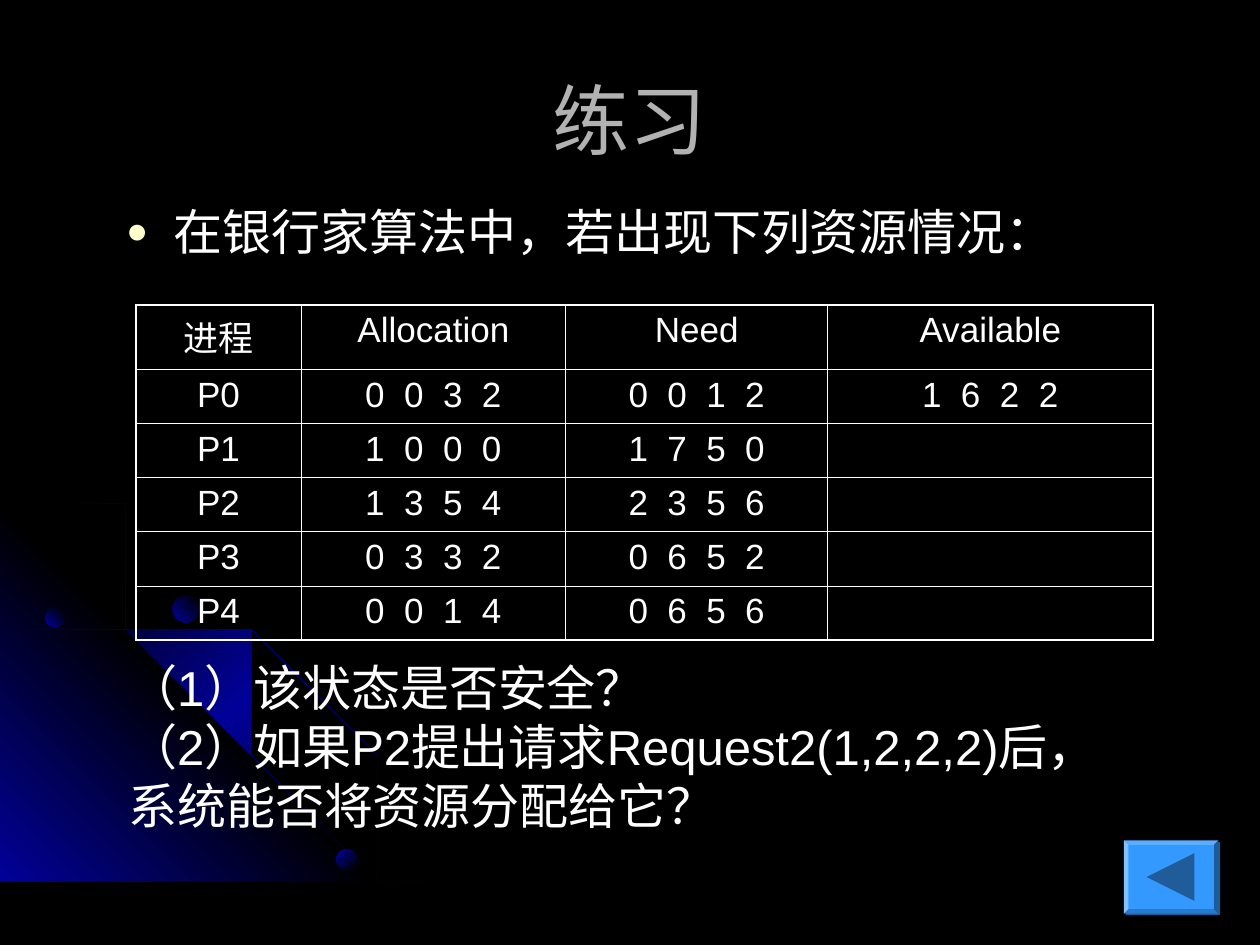
from lxml.etree import SubElement, fromstring
from pptx import Presentation
from pptx.dml.color import RGBColor
from pptx.enum.shapes import MSO_SHAPE as Shape
from pptx.enum.text import MSO_ANCHOR as Anchor, MSO_AUTO_SIZE as Auto, PP_ALIGN as Align
from pptx.oxml.ns import nsdecls, qn
from pptx.util import Inches, Pt

BLACK = RGBColor(0x00, 0x00, 0x00)
NAVY = RGBColor(0x01, 0x01, 0x99)
WHITE = RGBColor(0xFF, 0xFF, 0xFF)
GRAY = RGBColor(0xB2, 0xB2, 0xB2)
CREAM = RGBColor(0xFF, 0xFF, 0xCC)
SKY = RGBColor(0x33, 0x99, 0xFF)
STEEL = RGBColor(0x1F, 0x5C, 0x99)

TITLE = "练习"
LEAD = "在银行家算法中，若出现下列资源情况："
ASKS = [
    "（1）该状态是否安全？",
    "（2）如果P2提出请求Request2(1,2,2,2)后，",
    "系统能否将资源分配给它？",
]
ROWS = [
    ("进程", "Allocation", "Need", "Available"),
    ("P0", "0  0  3  2", "0  0  1  2", "1  6  2  2"),
    ("P1", "1  0  0  0", "1  7  5  0", ""),
    ("P2", "1  3  5  4", "2  3  5  6", ""),
    ("P3", "0  3  3  2", "0  6  5  2", ""),
    ("P4", "0  0  1  4", "0  6  5  6", ""),
]
WIDTHS = [1.31, 2.1, 2.08, 2.58]
HEIGHTS = [0.51] + [0.43] * 5

GLOW = [(0, NAVY), (50, BLACK), (100, NAVY)]
STREAK = [(0, BLACK), (50, NAVY), (100, BLACK)]
BALL = [(0, NAVY), (100, BLACK)]
HIGH = [
    (0.57, 4.47), (0.28, 4.41), (0, 4.35), (0, 4.38), (0.28, 4.43), (0.56, 4.49),
    (0.97, 4.61), (1.35, 4.78), (1.73, 4.99), (2.08, 5.23), (2.41, 5.49), (2.71, 5.79),
    (2.98, 6.12), (3.23, 6.49), (3.37, 6.73), (3.5, 6.98), (3.6, 7.23), (3.7, 7.49),
    (3.72, 7.49), (3.62, 7.23), (3.52, 6.98), (3.39, 6.73), (3.25, 6.48), (3, 6.11),
    (2.72, 5.78), (2.42, 5.48), (2.09, 5.21), (1.74, 4.97), (1.36, 4.77), (0.98, 4.59),
]
CORNER = [(3.22, 7.49), (0, 7.49), (0, 4.27)]
LOW = [
    (2.85, 7.14), (2.94, 7.32), (3.01, 7.49), (3.03, 7.49), (2.96, 7.3), (2.86, 7.12),
    (2.66, 6.76), (2.42, 6.4), (2.15, 6.06), (1.84, 5.76), (1.52, 5.49), (1.17, 5.26),
    (0.79, 5.05), (0.41, 4.88), (0, 4.75), (0, 4.77), (0.39, 4.9), (0.77, 5.07),
    (1.15, 5.28), (1.5, 5.51), (1.83, 5.78), (2.13, 6.08), (2.4, 6.42), (2.65, 6.77),
]
MID = [
    (0, 4.42), (0, 4.44), (0.36, 4.57), (0.74, 4.75), (1.09, 4.94), (1.42, 5.18),
    (1.73, 5.44), (2.02, 5.75), (2.27, 6.05), (2.52, 6.41), (2.67, 6.67), (2.8, 6.94),
    (2.92, 7.22), (3.01, 7.49), (3.03, 7.49), (2.94, 7.2), (2.82, 6.93), (2.69, 6.65),
    (2.54, 6.39), (2.29, 6.03), (2.04, 5.73), (1.75, 5.43), (1.44, 5.16), (1.11, 4.93),
    (0.76, 4.73), (0.39, 4.55),
]
CURVES = [(HIGH, STREAK, 45), (CORNER, GLOW, 315), (LOW, STREAK, 45), (MID, STREAK, 45)]
BALLS = [(0.36, 4.83, 0.15, 315), (2.67, 6.74, 0.16, 45), (1.37, 4.73, 0.21, 315)]


def place(shape, *box):
    shape.left, shape.top, shape.width, shape.height = map(Inches, box)


def style(para, size, color):
    for run in para.runs:
        run.font.name = "Arial"
        run.font.size = Pt(size)
        run.font.color.rgb = color


def shade(shape, stops, angle):
    shape.shadow.inherit = False
    shape.line.fill.background()
    marks = "".join(
        f'<a:gs pos="{pos * 1000}"><a:srgbClr val="{color}"/></a:gs>' for pos, color in stops
    )
    grad = fromstring(
        f'<a:gradFill {nsdecls("a")}><a:gsLst>{marks}</a:gsLst>'
        f'<a:lin ang="{angle * 60000}" scaled="0"/></a:gradFill>'
    )
    shape.line._ln.addprevious(grad)


def edge(cell, side, width):
    return fromstring(
        f'<a:{side} {nsdecls("a")} w="{Pt(width)}"><a:solidFill>'
        f'<a:srgbClr val="{WHITE}"/></a:solidFill></a:{side}>'
    )


def draw_back(slide):
    group = slide.shapes.add_group_shape()
    for points, stops, angle in CURVES:
        pen = group.shapes.build_freeform(*points[0], scale=Inches(1))
        pen.add_line_segments(points[1:], close=True)
        shade(pen.convert_to_shape(), stops, angle)
    for left, top, size, angle in BALLS:
        box = map(Inches, (left, top, size, size))
        shade(group.shapes.add_shape(Shape.OVAL, *box), BALL, angle)
    slide.shapes.element.insert(2, group.element)


def draw_text(slide):
    title, body = slide.placeholders
    place(title, 0.5, 0.61, 9, 0.66)
    place(body, 0.9, 1.55, 8.03, 0.63)
    asks = slide.shapes.add_textbox(*map(Inches, (0.92, 5.17, 8.75, 1.5)))
    for shape, text, size, color in [
        (title, TITLE, 44, GRAY), (body, LEAD, 28, WHITE), (asks, "\n".join(ASKS), 28, WHITE)
    ]:
        frame = shape.text_frame
        frame.text = text
        frame.word_wrap = True
        frame.auto_size = Auto.NONE
        for para in frame.paragraphs:
            para.space_before = Pt(0)
            style(para, size, color)
    title.text_frame.vertical_anchor = Anchor.MIDDLE
    title.text_frame.paragraphs[0].alignment = Align.CENTER
    props = body.text_frame.paragraphs[0]._p.get_or_add_pPr()
    props.set("marL", str(Inches(0.38)))
    props.set("indent", str(-Inches(0.38)))
    SubElement(SubElement(props, qn("a:buClr")), qn("a:srgbClr"), val=str(CREAM))
    SubElement(props, qn("a:buSzPct"), val="75000")
    SubElement(props, qn("a:buFont"), typeface="Arial")
    SubElement(props, qn("a:buChar"), char="●")


def draw_table(slide):
    box = map(Inches, (1.08, 2.42, sum(WIDTHS), sum(HEIGHTS)))
    table = slide.shapes.add_table(len(ROWS), len(WIDTHS), *box).table
    table.first_row = table.horz_banding = False
    for col, width in zip(table.columns, WIDTHS):
        col.width = Inches(width)
    for row, height in zip(table.rows, HEIGHTS):
        row.height = Inches(height)
    for r, row in enumerate(ROWS):
        for c, text in enumerate(row):
            cell = table.cell(r, c)
            cell.text = text
            cell.fill.background()
            para = cell.text_frame.paragraphs[0]
            para.alignment = Align.CENTER
            style(para, 20, WHITE)
            outer = {
                "lnL": c == 0, "lnR": c == len(WIDTHS) - 1,
                "lnT": r == 0, "lnB": r == len(ROWS) - 1,
            }
            props = cell._tc.get_or_add_tcPr()
            for i, (side, thick) in enumerate(outer.items()):
                props.insert(i, edge(cell, side, 1.08 if thick else 0.45))


def draw_button(slide):
    base = slide.shapes.add_shape(Shape.BEVEL, *map(Inches, (8.92, 6.67, 0.75, 0.58)))
    base.adjustments[0] = 0.06
    arrow = slide.shapes.add_shape(
        Shape.ISOSCELES_TRIANGLE, *map(Inches, (9.1, 6.77, 0.38, 0.38))
    )
    arrow.rotation = 270
    for shape, color in [(base, SKY), (arrow, STEEL)]:
        shape.shadow.inherit = False
        shape.fill.solid()
        shape.fill.fore_color.rgb = color
        shape.line.fill.background()
    effects = base._element.spPr.find(qn("a:effectLst"))
    drop = SubElement(effects, qn("a:outerShdw"), dist=str(Pt(1.4)), dir="2700000")
    SubElement(drop, qn("a:srgbClr"), val=str(STEEL))


def main():
    deck = Presentation()
    deck.slide_width, deck.slide_height = Inches(10), Inches(7.5)
    slide = deck.slides.add_slide(deck.slide_layouts[1])
    slide.background.fill.solid()
    slide.background.fill.fore_color.rgb = BLACK
    draw_back(slide)
    draw_text(slide)
    draw_table(slide)
    draw_button(slide)
    deck.save("out.pptx")


if __name__ == "__main__":
    main()
